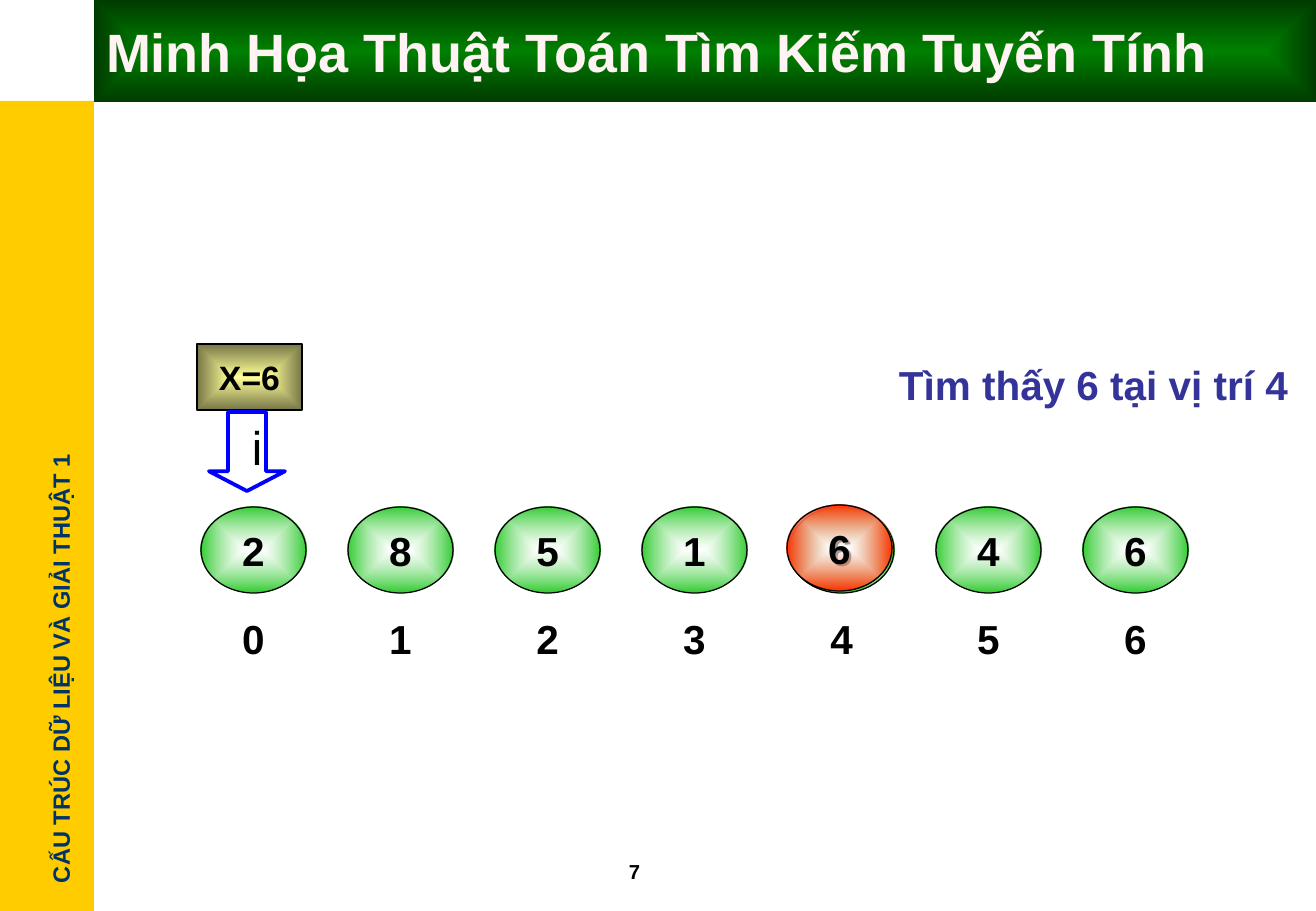
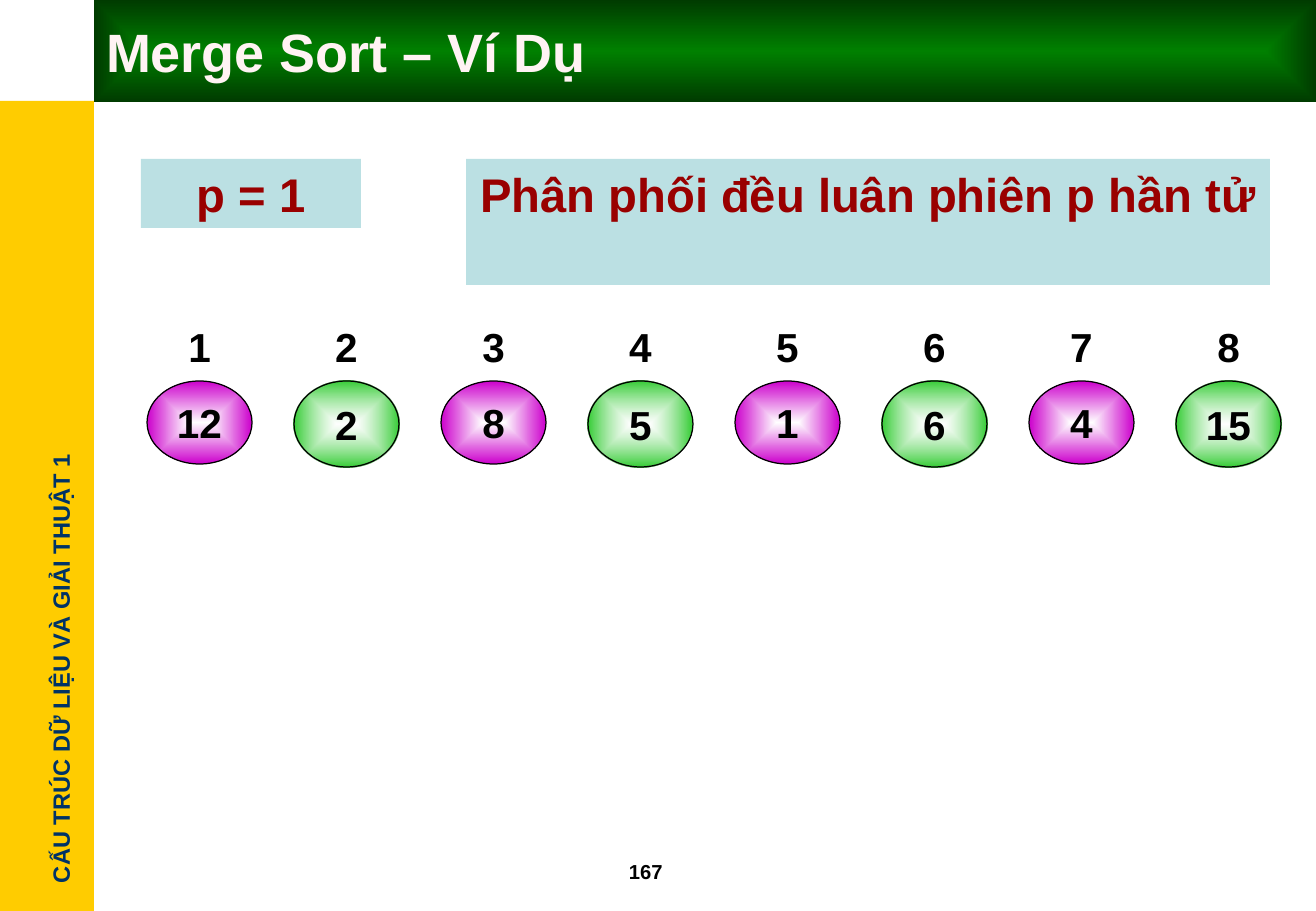
"""Two slides on searching and sorting that share one course template."""
import dataclasses
import typing

import lxml.etree
import pptx
import pptx.dml.color
import pptx.enum.shapes
import pptx.enum.text
import pptx.oxml.ns
import pptx.util

EMU_PER_PX = 7532
SLIDE_WIDTH, SLIDE_HEIGHT = 1316, 911
PITCH = 147
NODE_WIDTH, NODE_HEIGHT = 105, 86
FONT_NAME = "Arial"
BLACK, TITLE_INK, DARK_RED = "000000", "FFF3F3", "990000"
PALE_BLUE = "BBE0E3"

SHAPES = pptx.enum.shapes.MSO_SHAPE
ALIGN = pptx.enum.text.PP_ALIGN
ANCHOR = pptx.enum.text.MSO_ANCHOR


class Box(typing.NamedTuple):
    left: int
    top: int
    width: int
    height: int


@dataclasses.dataclass(frozen=True)
class Gradient:
    start: str
    end: str
    opacity: int = 100
    from_center: bool = True


@dataclasses.dataclass(frozen=True)
class TextStyle:
    size: int
    color: str = BLACK
    bold: bool = True
    align: ALIGN = ALIGN.CENTER
    anchor: ANCHOR = ANCHOR.MIDDLE
    wrap: bool = False
    inset_left: int = 12


@dataclasses.dataclass(frozen=True)
class Node:
    value: str
    fill: Gradient
    height: int = NODE_HEIGHT


Fill = str | Gradient | None

BANNER = Gradient("002F00", "006600", from_center=False)
TITLE_FILL = Gradient("008000", "003B00")
GREEN = Gradient("FFFFFF", "33CC33", 61)
RED = Gradient("FFFFFF", "FF3300", 61)
PURPLE = Gradient("FFFFFF", "CC00CC")
OLIVE = Gradient("FFFF99", "767647")

TITLE_STYLE = TextStyle(32, TITLE_INK, align=ALIGN.LEFT, wrap=True)
COURSE_STYLE = TextStyle(14, "003366", align=ALIGN.LEFT)
NUMBER_STYLE = TextStyle(12, align=ALIGN.LEFT, anchor=ANCHOR.TOP, wrap=True)
NODE_STYLE = TextStyle(24)
KEY_STYLE = TextStyle(20)
POINTER_STYLE = TextStyle(28, bold=False, align=ALIGN.LEFT, anchor=ANCHOR.TOP, inset_left=24)
RESULT_STYLE = TextStyle(24, "333399", align=ALIGN.LEFT, anchor=ANCHOR.TOP, wrap=True)
NOTE_STYLE = TextStyle(28, DARK_RED, anchor=ANCHOR.TOP, wrap=True)


def px(length: int) -> pptx.util.Emu:
    """Turn pixels into EMU."""
    return pptx.util.Emu(length * EMU_PER_PX)


def rgb(color: str) -> pptx.dml.color.RGBColor:
    """Turn a hex string into a colour."""
    return pptx.dml.color.RGBColor.from_string(color)


def paint_gradient(shape, gradient: Gradient) -> None:
    """Fill a shape with a linear or centred gradient."""
    qn = pptx.oxml.ns.qn
    shape.fill.gradient()
    for stop, color in zip(shape.fill.gradient_stops, (gradient.start, gradient.end)):
        stop.color.rgb = rgb(color)
    shape.fill.gradient_angle = 0
    if not gradient.from_center:
        return
    element = shape.element.spPr.find(qn("a:gradFill"))
    if gradient.opacity < 100:
        color_element = next(element.iter(qn("a:srgbClr")))
        lxml.etree.SubElement(color_element, qn("a:alpha"), val=str(gradient.opacity * 1000))
    element.remove(element.find(qn("a:lin")))
    center = lxml.etree.SubElement(element, qn("a:path"), path="rect")
    sides = dict.fromkeys("ltrb", "50000")
    lxml.etree.SubElement(center, qn("a:fillToRect"), **sides)


def paint(shape, fill: Fill) -> None:
    """Give a shape a gradient, a plain colour or no fill."""
    if isinstance(fill, Gradient):
        paint_gradient(shape, fill)
    elif fill:
        shape.fill.solid()
        shape.fill.fore_color.rgb = rgb(fill)
    else:
        shape.fill.background()


def write(shape, text: str, style: TextStyle) -> None:
    """Write one styled line of text into a shape."""
    frame = shape.text_frame
    frame.auto_size = pptx.enum.text.MSO_AUTO_SIZE.NONE
    frame.word_wrap = style.wrap
    frame.vertical_anchor = style.anchor
    frame.margin_left, frame.margin_right = px(style.inset_left), px(12)
    frame.margin_top = frame.margin_bottom = px(6)
    paragraph = frame.paragraphs[0]
    paragraph.alignment = style.align
    run = paragraph.add_run()
    run.text = text
    run.font.name = FONT_NAME
    run.font.size = pptx.util.Pt(style.size)
    run.font.bold = style.bold
    run.font.color.rgb = rgb(style.color)


def add_shape(slide, kind: SHAPES, box: Box, fill: Fill,
              line: str | None = None, line_width: float = 0.75):
    """Draw a preset shape without a shadow."""
    shape = slide.shapes.add_shape(kind, *map(px, box))
    shape.shadow.inherit = False
    paint(shape, fill)
    if line:
        shape.line.color.rgb = rgb(line)
        shape.line.width = pptx.util.Pt(line_width)
    else:
        shape.line.fill.background()
    return shape


def add_text(slide, box: Box, text: str, style: TextStyle):
    """Add a text box."""
    text_box = slide.shapes.add_textbox(*map(px, box))
    write(text_box, text, style)
    return text_box


def add_node(slide, left: int, top: int, node: Node) -> None:
    """Draw one array element."""
    box = Box(left, top, NODE_WIDTH, node.height)
    write(add_shape(slide, SHAPES.OVAL, box, node.fill, BLACK), node.value, NODE_STYLE)


def add_array(slide, nodes: list[Node], left: int, top: int,
              label_top: int, first_index: int) -> None:
    """Draw a row of array elements with their indexes."""
    for position, node in enumerate(nodes):
        node_left = left + position * PITCH
        add_node(slide, node_left, top, node)
        label_box = Box(node_left, label_top, NODE_WIDTH, NODE_HEIGHT)
        add_text(slide, label_box, str(first_index + position), NODE_STYLE)


def build_template(layout, slide) -> None:
    """Draw the side band and banner and move them into the layout."""
    band = add_shape(slide, SHAPES.RECTANGLE, Box(0, 101, 94, 810), "FFCC00")
    course = add_text(slide, Box(-166, 648, 453, 41),
                      "CẤU TRÚC DỮ LIỆU VÀ GIẢI THUẬT 1", COURSE_STYLE)
    course.rotation = 270
    banner = add_shape(slide, SHAPES.RECTANGLE, Box(94, 0, 1222, 101), BANNER)
    for offset, shape in enumerate((band, course, banner)):
        layout.shapes.element.insert(2 + offset, shape.element)


def add_slide(presentation, layout, title_text: str, number: str):
    """Add a slide with its title and number."""
    slide = presentation.slides.add_slide(layout)
    title = slide.shapes.title
    title.left, title.top, title.width, title.height = map(px, Box(94, 0, 1222, 102))
    paint(title, TITLE_FILL)
    write(title, title_text, TITLE_STYLE)
    add_text(slide, Box(617, 853, 101, 36), number, NUMBER_STYLE)
    return slide


def draw_search(slide) -> None:
    """Show the linear search for 6."""
    add_array(slide, [Node(value, GREEN) for value in "2851646"], 201, 507, 595, 0)
    key = add_shape(slide, SHAPES.RECTANGLE, Box(197, 344, 105, 66), OLIVE, BLACK)
    write(key, "X=6", KEY_STYLE)
    pointer = add_shape(slide, SHAPES.DOWN_ARROW, Box(209, 412, 76, 79), None, "0000FF", 2.25)
    pointer.adjustments[0], pointer.adjustments[1] = 0.5, 0.26
    write(pointer, "i", POINTER_STYLE)
    add_node(slide, 787, 505, Node("6", RED))
    add_text(slide, Box(887, 354, 422, 61), "Tìm thấy 6 tại vị trí 4", RESULT_STYLE)


def draw_merge_sort(slide) -> None:
    """Show the alternating distribution of merge sort."""
    values = ("12", "2", "8", "5", "1", "6", "4", "15")
    nodes = [Node(value, GREEN) if position % 2 else Node(value, PURPLE, 83)
             for position, value in enumerate(values)]
    add_array(slide, nodes, 147, 381, 303, 1)
    notes = ((Box(141, 159, 220, 69), "p = 1"),
             (Box(466, 159, 804, 126), "Phân phối đều luân phiên p hần tử"))
    for box, text in notes:
        write(add_shape(slide, SHAPES.RECTANGLE, box, PALE_BLUE), text, NOTE_STYLE)


def main() -> None:
    """Build and save the presentation."""
    presentation = pptx.Presentation()
    presentation.slide_width, presentation.slide_height = px(SLIDE_WIDTH), px(SLIDE_HEIGHT)
    layout = presentation.slide_layouts.get_by_name("Title Only")
    search = add_slide(presentation, layout, "Minh Họa Thuật Toán Tìm Kiếm Tuyến Tính", "7")
    build_template(layout, search)
    draw_search(search)
    draw_merge_sort(add_slide(presentation, layout, "Merge Sort – Ví Dụ", "167"))
    presentation.save("out.pptx")


if __name__ == "__main__":
    main()
